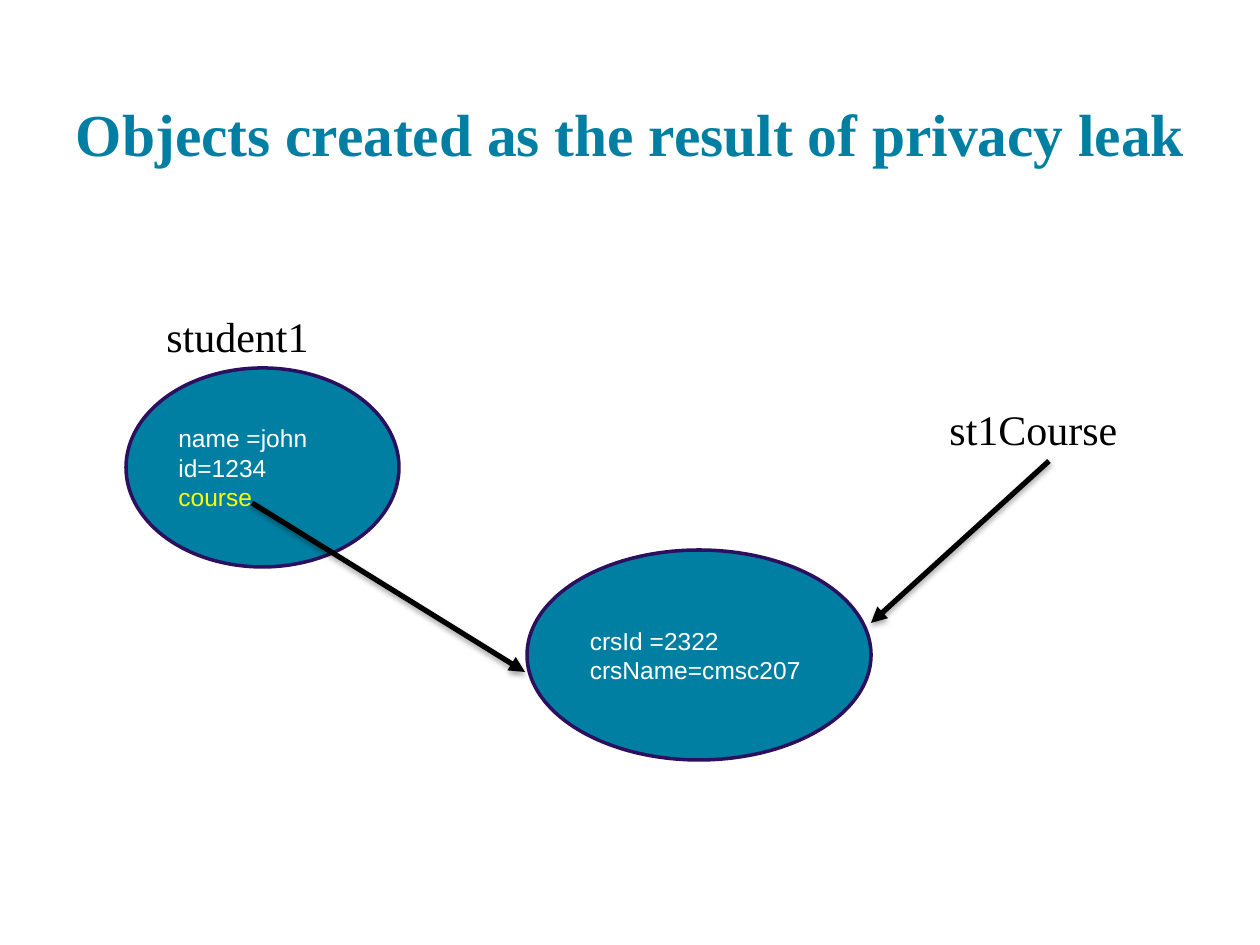
from lxml import etree
from pptx import Presentation
from pptx.dml.color import RGBColor
from pptx.enum.shapes import MSO_CONNECTOR, MSO_SHAPE
from pptx.enum.text import MSO_ANCHOR, MSO_AUTO_SIZE, PP_ALIGN
from pptx.oxml import parse_xml
from pptx.oxml.ns import qn
from pptx.util import Emu, Pt

ELLIPSE = MSO_SHAPE.OVAL
STRAIGHT = MSO_CONNECTOR.STRAIGHT
LEFT = PP_ALIGN.LEFT
MIDDLE = MSO_ANCHOR.MIDDLE
BOTTOM = MSO_ANCHOR.BOTTOM
FIT_SHAPE = MSO_AUTO_SIZE.SHAPE_TO_FIT_TEXT
NO_FIT = MSO_AUTO_SIZE.NONE

TEAL = RGBColor(0x00, 0x7F, 0xA3)
PURPLE = RGBColor(0x2C, 0x10, 0x5F)
WHITE = RGBColor(0xFF, 0xFF, 0xFF)
YELLOW = RGBColor(0xFF, 0xFF, 0x00)
BLACK = RGBColor(0x00, 0x00, 0x00)

SERIF = "Times New Roman"
SANS = "Arial"
PIXELS_PER_INCH = 126

SHADOW_XML = (
    '<a:effectLst xmlns:a="http://schemas.openxmlformats.org/drawingml/2006/main">'
    '<a:outerShdw blurRad="40000" dist="23000" dir="5400000" rotWithShape="0">'
    '<a:srgbClr val="000000"><a:alpha val="35000"/></a:srgbClr>'
    '</a:outerShdw></a:effectLst>'
)


def px(length):
    return Emu(round(length * 914400 / PIXELS_PER_INCH))


def add_run(paragraph, text, font, size, color, bold=False):
    paragraph.alignment = LEFT
    run = paragraph.add_run()
    run.text = text
    run.font.name = font
    run.font.size = Pt(size)
    run.font.bold = bold
    run.font.color.rgb = color


def set_title(slide, text, box):
    title = slide.shapes.title
    title.left, title.top, title.width, title.height = map(px, box)
    frame = title.text_frame
    frame.word_wrap = True
    frame.auto_size = NO_FIT
    frame.vertical_anchor = BOTTOM
    frame.margin_left = frame.margin_top = frame.margin_bottom = px(13)
    frame.margin_right = px(6)
    add_run(frame.paragraphs[0], text, SERIF, 34, TEAL, bold=True)


def add_object(slide, box, fields):
    ellipse = slide.shapes.add_shape(ELLIPSE, *map(px, box))
    ellipse.shadow.inherit = False
    ellipse.fill.solid()
    ellipse.fill.fore_color.rgb = TEAL
    ellipse.line.color.rgb = PURPLE
    ellipse.line.width = Pt(2)
    frame = ellipse.text_frame
    frame.word_wrap = True
    frame.vertical_anchor = MIDDLE
    for index, (text, color) in enumerate(fields):
        paragraph = frame.add_paragraph() if index else frame.paragraphs[0]
        add_run(paragraph, text, SANS, 14, color)


def add_variable(slide, text, box):
    label = slide.shapes.add_textbox(*map(px, box))
    frame = label.text_frame
    frame.word_wrap = False
    frame.auto_size = FIT_SHAPE
    add_run(frame.paragraphs[0], text, SERIF, 24, BLACK)


def add_reference(slide, start, end):
    arrow = slide.shapes.add_connector(STRAIGHT, *map(px, start + end))
    arrow.line.color.rgb = BLACK
    arrow.line.width = Pt(3)
    properties = arrow.element.spPr
    etree.SubElement(properties.find(qn("a:ln")), qn("a:tailEnd"), type="triangle")
    properties.append(parse_xml(SHADOW_XML))


def main():
    presentation = Presentation()
    presentation.slide_width = px(1260)
    presentation.slide_height = px(945)
    slide = presentation.slides.add_slide(presentation.slide_layouts[5])

    set_title(slide, "Objects created as the result of privacy leak", (63, 30, 1134, 151))
    add_object(slide, (126, 368, 273, 199),
               [("name =john", WHITE), ("id=1234", WHITE), ("course", YELLOW)])
    add_object(slide, (527, 550, 344, 210),
               [("crsId =2322", WHITE), ("crsName=cmsc207", WHITE)])
    add_reference(slide, (252, 503), (525, 672))
    add_variable(slide, "student1", (154, 304, 169, 64))
    add_variable(slide, "st1Course", (937, 397, 195, 63))
    add_reference(slide, (1049, 461), (871, 623))

    presentation.save("out.pptx")


if __name__ == "__main__":
    main()
